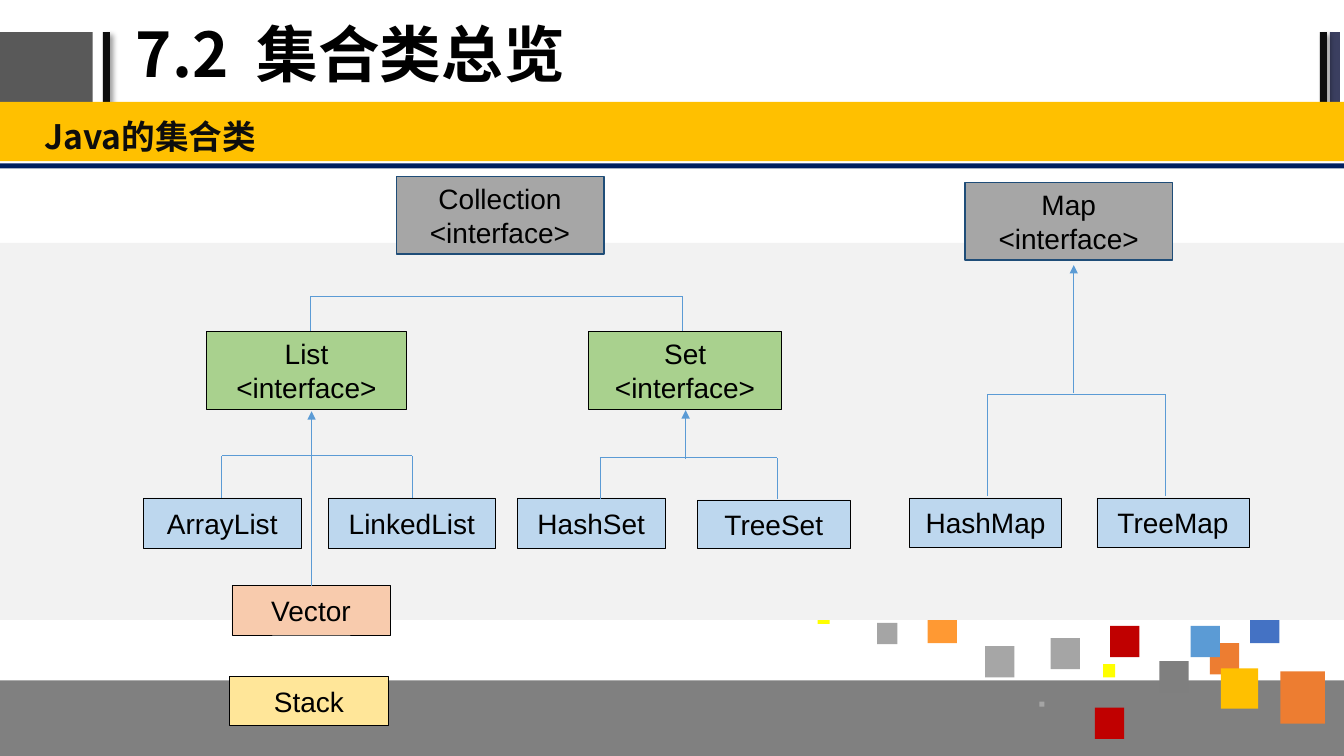
from lxml import etree
from pptx import Presentation
from pptx import util as u
from pptx.dml.color import RGBColor
from pptx.enum import shapes, text
from pptx.oxml import ns

WIDE, HIGH = 13.33, 7.5
SANS, CJK = "Arial", "Noto Sans CJK SC"
BLACK, GRAY, GREEN, BLUE, NAVY = "000000", "A6A6A6", "A9D18E", "BDD7EE", "1F4D78"
WIRE = "5B9BD5"

TITLE = ["7.2", " ", "集合类总览"]
TOPIC = ["Java", "的集合类"]

BARS = [
    (0, 0.32, 0.92, 0.76, "595959", False),
    (1.02, 0.32, 0.07, 0.76, "0D0D0D", True),
    (13.19, 0.32, 0.1, 0.76, "3B3F60", False),
    (13.09, 0.32, 0.07, 0.76, "0D0D0D", True),
]
FOOT = (0, 6.75, WIDE, 0.75, "808080")
TILES = [
    (12.7, 6.66, 0.44, 0.52, "ED7D31"),
    (12, 6.38, 0.29, 0.31, "ED7D31"),
    (12.11, 6.63, 0.37, 0.4, "FFC000"),
    (11.81, 6.21, 0.29, 0.31, "5B9BD5"),
    (10.31, 6.96, 0.05, 0.05, "A5A5A5"),
    (12.4, 6.07, 0.29, 0.31, "4472C4"),
    (10.94, 6.59, 0.12, 0.13, "FFFF00"),
    (10.42, 6.33, 0.29, 0.31, "A5A5A5"),
    (11.01, 6.21, 0.29, 0.31, "C00000"),
    (11.5, 6.56, 0.29, 0.31, "7F7F7F"),
    (10.86, 7.02, 0.29, 0.31, "C00000"),
    (8.11, 6.06, 0.12, 0.13, "FFFF00"),
    (8.7, 6.18, 0.2, 0.21, "A5A5A5"),
    (9.2, 6.07, 0.29, 0.31, "FF9933"),
    (9.77, 6.41, 0.29, 0.31, "A6A6A6"),
]
BANDS = [
    (0, 1.62, WIDE, 0.05, "002060"),
    (0, 1.01, WIDE, 0.59, "FFC000"),
    (0, 2.41, WIDE, 3.74, "F2F2F2"),
]

KIND = "<interface>"
NODES = [
    (["Collection", KIND], 3.93, 1.75, 2.06, 0.77, GRAY),
    (["List", KIND], 2.05, 3.29, 1.98, 0.77, GREEN),
    (["Set", KIND], 5.84, 3.29, 1.91, 0.77, GREEN),
    (["ArrayList"], 1.42, 4.94, 1.57, 0.5, BLUE),
    (["LinkedList"], 3.26, 4.94, 1.65, 0.5, BLUE),
    (["HashSet"], 5.13, 4.94, 1.47, 0.5, BLUE),
    (["TreeSet"], 6.92, 4.96, 1.51, 0.48, BLUE),
    (["Map", KIND], 9.57, 1.81, 2.06, 0.77, GRAY),
    (["HashMap"], 9.02, 4.94, 1.51, 0.49, BLUE),
    (["TreeMap"], 10.88, 4.94, 1.51, 0.49, BLUE),
    (["Vector"], 2.3, 5.81, 1.57, 0.49, "F8CBAD"),
    (["Stack"], 2.28, 6.71, 1.57, 0.49, "FFE699"),
]
FORKS = [
    (3.08, 6.77, 2.94, 3.28),
    (2.2, 4.09, 4.52, 4.94),
    (5.95, 7.71, 4.54, 4.95),
    (9.79, 11.56, 3.91, 4.92),
]
ARROWS = [(3.09, 5.81, 4.08), (6.8, 4.55, 4.07), (10.65, 3.9, 2.63)]

deck = Presentation()
deck.slide_width, deck.slide_height = u.Inches(WIDE), u.Inches(HIGH)
slide = deck.slides.add_slide(deck.slide_layouts[6])


def tint(code):
    return RGBColor.from_string(code)


def sub(node, tag, **attrs):
    return etree.SubElement(node, ns.qn(tag), **attrs)


def block(x, y, w, h, fill):
    box = slide.shapes.add_shape(
        shapes.MSO_SHAPE.RECTANGLE, *map(u.Inches, (x, y, w, h)))
    box.shadow.inherit = False
    box.fill.solid()
    box.fill.fore_color.rgb = tint(fill)
    box.line.fill.background()
    return box


def shade(box):
    glow = box._element.spPr.find(ns.qn("a:effectLst"))
    drop = sub(glow, "a:outerShdw", blurRad=str(u.Pt(4)), dist=str(u.Pt(3)),
               dir="2700000", algn="tl", rotWithShape="0")
    sub(sub(drop, "a:srgbClr", val=BLACK), "a:alpha", val="40000")


def write(para, words, size, face, ink, bold=False):
    for word in words:
        run = para.add_run()
        run.text = word
        run.font.size, run.font.name, run.font.bold = u.Pt(size), face, bold
        run.font.color.rgb = tint(ink)
        props = run._r.get_or_add_rPr()
        sub(props, "a:ea", typeface=face)
        if word == " ":
            props.set("spc", "1000")


def label(x, y, w, h, words, size, ink, lead, side, edge):
    frame = slide.shapes.add_textbox(*map(u.Inches, (x, y, w, h))).text_frame
    frame.word_wrap = True
    frame.vertical_anchor = text.MSO_ANCHOR.MIDDLE
    frame.margin_left = frame.margin_right = u.Inches(side)
    frame.margin_top = frame.margin_bottom = u.Inches(edge)
    para = frame.paragraphs[0]
    para.line_spacing = lead
    write(para, words, size, CJK, ink, True)


def node(lines, x, y, w, h, fill):
    box = block(x, y, w, h, fill)
    top = fill == GRAY
    box.line.color.rgb = tint(NAVY if top else BLACK)
    box.line.width = u.Pt(1 if top else 0.5)
    frame = box.text_frame
    frame.word_wrap = True
    frame.vertical_anchor = text.MSO_ANCHOR.MIDDLE
    for i, line in enumerate(lines):
        para = frame.add_paragraph() if i else frame.paragraphs[0]
        para.alignment = text.PP_ALIGN.CENTER
        write(para, [line], 20, SANS, BLACK)


def wire(x1, y1, x2, y2, arrow=False):
    link = slide.shapes.add_connector(
        shapes.MSO_CONNECTOR.STRAIGHT, *map(u.Inches, (x1, y1, x2, y2)))
    link.line.color.rgb = tint(WIRE)
    link.line.width = u.Pt(0.5)
    if arrow:
        sub(link.line._get_or_add_ln(), "a:tailEnd", type="triangle")
    sub(link._element.spPr, "a:effectLst")


for *spot, dark in BARS:
    bar = block(*spot)
    if dark:
        shade(bar)
label(1.25, 0.02, 8.47, 1.1, TITLE, 44, BLACK, 0.9, 0.1, 0.05)
for spot in [FOOT] + TILES + BANDS:
    block(*spot)
label(0.31, 1.02, 13.02, 0.58, TOPIC, 24, "0D0D0D", 1.2, 0.13, 0)
for spot in NODES:
    node(*spot)
for left, right, beam, end in FORKS:
    wire(left, beam, right, beam)
    for x in (left, right):
        wire(x, end, x, beam)
for x, start, tip in ARROWS:
    wire(x, start, x, tip, True)

deck.save("out.pptx")
